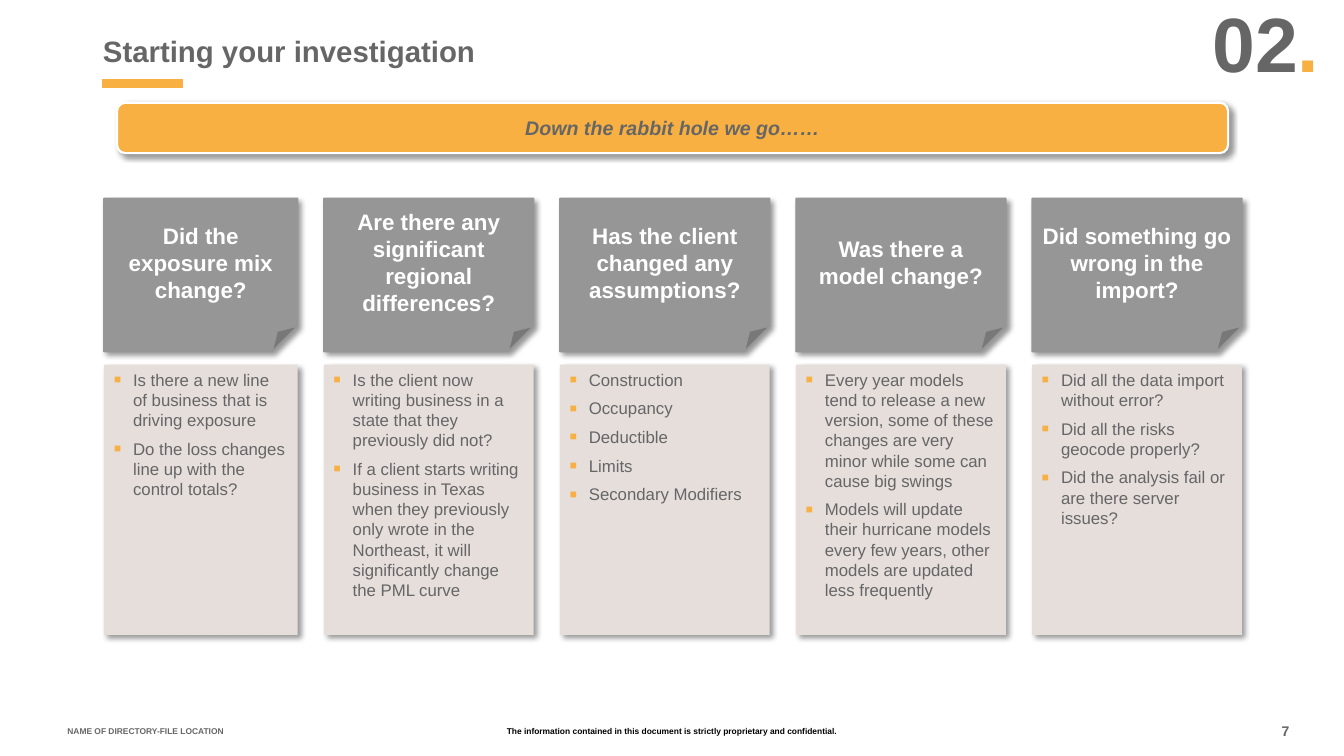
from collections import namedtuple

from lxml import etree
from pptx import Presentation
from pptx import util as u
from pptx.dml.color import RGBColor
from pptx.enum import shapes, text
from pptx.oxml import ns

ORANGE = RGBColor(0xF7, 0xB0, 0x41)
TEXT_GRAY = RGBColor(0x66, 0x66, 0x66)
NOTE_GRAY = RGBColor(0x96, 0x96, 0x96)
LIST_FILL = RGBColor(0xE5, 0xDE, 0xDB)
WHITE = RGBColor(0xFF, 0xFF, 0xFF)
BLACK = RGBColor(0x00, 0x00, 0x00)

LEFT, CENTER, RIGHT = text.PP_ALIGN.LEFT, text.PP_ALIGN.CENTER, text.PP_ALIGN.RIGHT
TOP, MIDDLE = text.MSO_ANCHOR.TOP, text.MSO_ANCHOR.MIDDLE
PRESET = shapes.MSO_SHAPE

Box = namedtuple("Box", "left top width height")

COLUMN_GAP = 0.66
HEADER_HEIGHT = 3.86
LIST_OFFSET = 4.19
COLUMNS = [
    (4.88, "Did the exposure mix change?", [
        "Is there a new line of business that is driving exposure",
        "Do the loss changes line up with the control totals?",
    ]),
    (5.29, "Are there any significant regional differences?", [
        "Is the client now writing business in a state that they previously did not?",
        "If a client starts writing business in Texas when they previously only wrote "
        "in the Northeast, it will significantly change the PML curve",
    ]),
    (5.29, "Has the client changed any assumptions?", [
        "Construction", "Occupancy", "Deductible", "Limits", "Secondary Modifiers",
    ]),
    (5.29, "Was there a model change?", [
        "Every year models tend to release a new version, some of these changes are "
        "very minor while some can cause big swings",
        "Models will update their hurricane models every few years, other models are "
        "updated less frequently",
    ]),
    (5.29, "Did something go wrong in the import?", [
        "Did all the data import without error?",
        "Did all the risks geocode properly?",
        "Did the analysis fail or are there server issues?",
    ]),
]


def place(shape, box):
    shape.left, shape.top, shape.width, shape.height = (u.Cm(value) for value in box)


def add_bullet(paragraph):
    properties = paragraph._p.get_or_add_pPr()
    properties.set("marL", str(u.Cm(0.48)))
    properties.set("indent", str(-u.Cm(0.48)))
    color = etree.SubElement(properties, ns.qn("a:buClr"))
    etree.SubElement(color, ns.qn("a:srgbClr"), val=str(ORANGE))
    etree.SubElement(properties, ns.qn("a:buSzPct"), val="70000")
    etree.SubElement(properties, ns.qn("a:buFont"), typeface="Arial")
    etree.SubElement(properties, ns.qn("a:buChar"), char="■")


def write_text(shape, paragraphs, size, color=TEXT_GRAY, bold=True, italic=False,
               align=LEFT, anchor=TOP, wrap=True, bullets=False, spacing=0):
    frame = shape.text_frame
    frame.auto_size = text.MSO_AUTO_SIZE.NONE
    frame.word_wrap = wrap
    frame.vertical_anchor = anchor
    for index, content in enumerate(paragraphs):
        paragraph = frame.add_paragraph() if index else frame.paragraphs[0]
        if bullets:
            add_bullet(paragraph)
        paragraph.alignment = align
        paragraph.space_before = u.Pt(spacing if index else 0)
        paragraph.space_after = u.Pt(spacing)
        runs = [(content, color)] if isinstance(content, str) else content
        for words, run_color in runs:
            run = paragraph.add_run()
            run.text = words
            run.font.name = "Arial"
            run.font.size = u.Pt(size)
            run.font.bold = bold
            run.font.italic = italic
            run.font.color.rgb = run_color


def paint(shape, fill, line=None, line_width=1, shadow=True):
    shape.fill.solid()
    shape.fill.fore_color.rgb = fill
    if line is None:
        shape.line.fill.background()
    else:
        shape.line.color.rgb = line
        shape.line.width = u.Pt(line_width)
    shape.shadow.inherit = False
    if shadow:
        effects = shape._element.spPr.find(ns.qn("a:effectLst"))
        outer = etree.SubElement(
            effects, ns.qn("a:outerShdw"), blurRad=str(u.Pt(4)), dist=str(u.Pt(3)),
            dir=str(45 * 60000), algn="tl", rotWithShape="0")
        color = etree.SubElement(outer, ns.qn("a:srgbClr"), val=str(BLACK))
        etree.SubElement(color, ns.qn("a:alpha"), val="40000")


def add_preset(slide, preset, box):
    return slide.shapes.add_shape(preset, *(u.Cm(value) for value in box))


def add_label(slide, box, content, **text_format):
    label = slide.shapes.add_textbox(*(u.Cm(value) for value in box))
    write_text(label, [content], **text_format)


def build_heading(slide, box):
    title = slide.shapes.title
    place(title, Box(box.left, box.top, 27.3, 1.17))
    write_text(title, ["Starting your investigation"], size=21, anchor=MIDDLE)
    underline = add_preset(
        slide, PRESET.RECTANGLE, Box(box.left + 0.25, box.top + 1.32, 2.01, 0.2))
    paint(underline, ORANGE, line=ORANGE, shadow=False)
    number_width = 3.89
    add_label(slide, Box(box.left + box.width - number_width, box.top - 0.92, number_width, 2.62),
              [("02", TEXT_GRAY), (".", ORANGE)], size=55, align=RIGHT)


def build_banner(slide, box):
    banner = add_preset(slide, PRESET.ROUNDED_RECTANGLE, box)
    paint(banner, ORANGE, line=WHITE, line_width=1.5)
    write_text(banner, ["Down the rabbit hole we go……"], size=14, italic=True,
               align=CENTER, anchor=MIDDLE)


def build_column(slide, box, question, points, panel=None):
    header = add_preset(
        slide, PRESET.FOLDED_CORNER, Box(box.left, box.top, box.width, HEADER_HEIGHT))
    paint(header, NOTE_GRAY, line=NOTE_GRAY)
    write_text(header, [question], size=16, color=WHITE, align=CENTER, anchor=MIDDLE)
    panel_box = Box(box.left, box.top + LIST_OFFSET, box.width, box.height - LIST_OFFSET)
    if panel is None:
        panel = add_preset(slide, PRESET.RECTANGLE, panel_box)
    else:
        place(panel, panel_box)
    paint(panel, LIST_FILL)
    write_text(panel, points, size=12, bold=False, bullets=True, spacing=3)


def build_columns(slide, box):
    left = box.left
    panel = slide.placeholders[1]
    for width, question, points in COLUMNS:
        build_column(slide, Box(left, box.top, width, box.height), question, points, panel)
        left += width + COLUMN_GAP
        panel = None


def build_footer(slide, box):
    add_label(slide, Box(box.left, box.top + 0.1, 9.14, 0.41),
              "NAME OF DIRECTORY-FILE LOCATION", size=6)
    add_label(slide, Box(box.left + 11.05, box.top + 0.1, 8.86, 0.51),
              "The information contained in this document is strictly proprietary and confidential.",
              size=6, color=BLACK, align=CENTER, wrap=False)
    add_label(slide, Box(box.left + box.width - 2, box.top, 2, 0.64), "7", size=10)


def main():
    presentation = Presentation()
    presentation.slide_width = u.Cm(33.87)
    presentation.slide_height = u.Cm(19.05)
    slide = presentation.slides.add_slide(presentation.slide_layouts[1])
    build_heading(slide, Box(2.34, 0.69, 31.16, 1.52))
    build_banner(slide, Box(2.95, 2.59, 28, 1.27))
    build_columns(slide, Box(2.62, 5, 28.68, 11))
    build_footer(slide, Box(1.45, 18.08, 32.6, 0.64))
    presentation.save("out.pptx")


if __name__ == "__main__":
    main()
